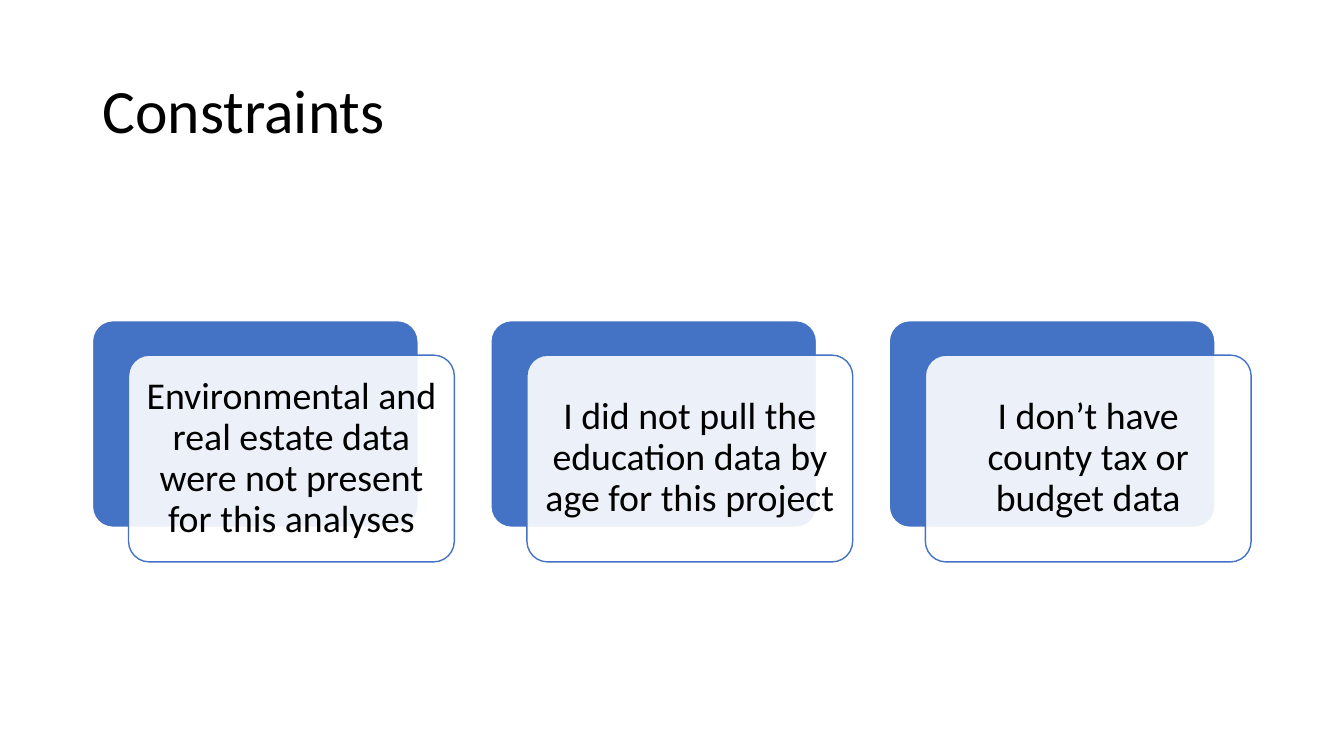
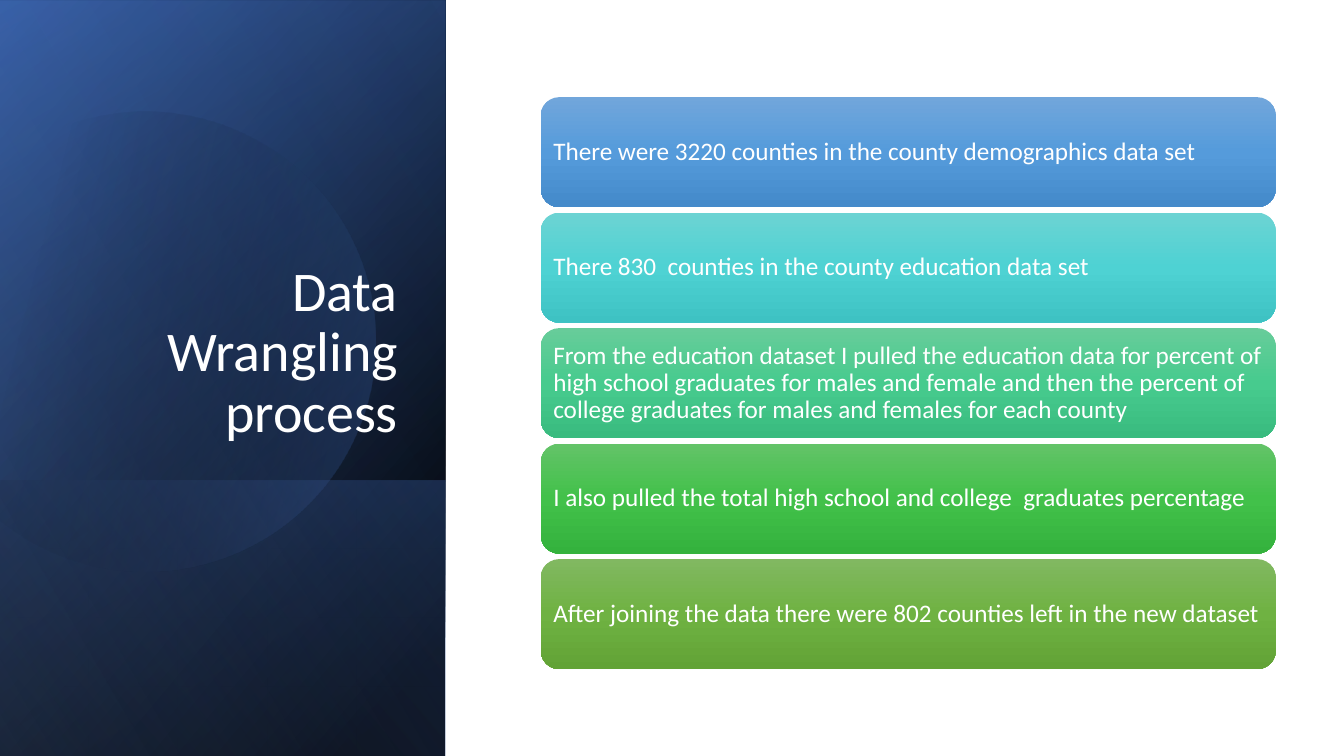
import math
from dataclasses import dataclass
from itertools import pairwise

from lxml import etree
from pptx import Presentation
from pptx import util as u
from pptx.dml.color import RGBColor
from pptx.enum import shapes, text
from pptx.oxml import ns

FONT = "Calibri"
BLACK = RGBColor(0x00, 0x00, 0x00)
WHITE = RGBColor(0xFF, 0xFF, 0xFF)
BLUE = RGBColor(0x44, 0x72, 0xC4)
DARK_BLUE = RGBColor(0x2F, 0x55, 0x97)
PALE_BLUE = RGBColor(0x8F, 0xAA, 0xDC)

SLIDE_WIDTH, SLIDE_HEIGHT = 33.87, 19.05  # all plain lengths are centimetres
PANEL_WIDTH = 11.22


@dataclass(frozen=True)
class Box:
    left: float
    top: float
    width: float
    height: float

    def lengths(self) -> tuple[u.Length, ...]:
        return tuple(u.Cm(n) for n in (self.left, self.top, self.width, self.height))


@dataclass(frozen=True)
class Stop:
    position: int
    color: RGBColor
    opacity: int = 100


@dataclass(frozen=True)
class Gradient:
    angle: int
    stops: tuple[Stop, ...]


@dataclass(frozen=True)
class TextStyle:
    size: int
    color: RGBColor
    align: text.PP_ALIGN = text.PP_ALIGN.LEFT
    anchor: text.MSO_ANCHOR = text.MSO_ANCHOR.MIDDLE


@dataclass(frozen=True)
class Band:
    top: float
    height: float
    gradient: Gradient


@dataclass(frozen=True)
class Step:
    wording: str
    colors: tuple[str, str, str]


CONSTRAINTS = (
    "Environmental and real estate data were not present for this analyses",
    "I did not pull the education data by age for this project",
    "I don’t have county tax or budget data",
)
CARD = Box(2.33, 8.08, 8.21, 5.21)
CARD_PITCH = 10.04
CARD_SHIFT_X, CARD_SHIFT_Y = 0.91, 0.87
CARD_STYLE = TextStyle(27, BLACK, text.PP_ALIGN.CENTER)

STEPS = (
    Step("There were 3220 counties in the county demographics data set",
         ("71A6DB", "559BDB", "448ACA")),
    Step("There 830  counties in the county education data set",
         ("6CD3D3", "4ED2D3", "3EC2C3")),
    Step("From the education dataset I pulled the education data for percent of "
         "high school graduates for males and female and then the percent of "
         "college graduates for males and females for each county",
         ("67CC9A", "47CB8E", "39BB7F")),
    Step("I also pulled the total high school and college  graduates percentage",
         ("63C368", "42C14A", "34B23D")),
    Step("After joining the data there were 802 counties left in the new dataset",
         ("81B861", "6FB242", "62A336")),
)
STEP_BOX = Box(13.63, 2.45, 18.52, 2.77)
STEP_PITCH = 2.91
STEP_STYLE = TextStyle(18, WHITE)

BANDS_BELOW_DISC = (
    Band(0, SLIDE_HEIGHT, Gradient(50, (Stop(8, BLACK), Stop(100, DARK_BLUE)))),
    Band(0.02, SLIDE_HEIGHT, Gradient(30, (Stop(0, BLACK, 0), Stop(99, BLUE, 46)))),
    Band(12.1, 6.95, Gradient(130, (Stop(2, BLUE, 29), Stop(100, BLACK, 30)))),
)
BAND_ABOVE_DISC = Band(
    0, SLIDE_HEIGHT, Gradient(120, (Stop(0, BLACK, 0), Stop(99, PALE_BLUE, 11))))

DISC_CENTER_X, DISC_CENTER_Y, DISC_RADIUS = 3.64, 8.5, 5.8
DISC_ANGLES = (-118, -90, 0, 90, 150)
DISC_ROTATION = 343.9
DISC_GRADIENT = Gradient(30, (Stop(29, BLACK, 0), Stop(100, BLUE, 43)))


def set_opacity(color_element, percent: int) -> None:
    alpha = etree.SubElement(color_element, ns.qn("a:alpha"))
    alpha.set("val", str(percent * 1000))


def fill_gradient(shape, gradient: Gradient) -> None:
    """Give the shape a linear gradient whose stops may be transparent."""
    shape.fill.background()
    properties = shape.element.spPr
    fill = etree.Element(ns.qn("a:gradFill"), rotWithShape="1")
    stop_list = etree.SubElement(fill, ns.qn("a:gsLst"))
    for stop in gradient.stops:
        entry = etree.SubElement(stop_list, ns.qn("a:gs"), pos=str(stop.position * 1000))
        color = etree.SubElement(entry, ns.qn("a:srgbClr"), val=str(stop.color))
        if stop.opacity < 100:
            set_opacity(color, stop.opacity)
    etree.SubElement(fill, ns.qn("a:lin"), ang=str(gradient.angle * 60000), scaled="0")
    properties.replace(properties.find(ns.qn("a:noFill")), fill)


def write_text(shape, wording: str, style: TextStyle) -> None:
    frame = shape.text_frame
    frame.word_wrap = True
    frame.auto_size = text.MSO_AUTO_SIZE.NONE
    frame.vertical_anchor = style.anchor
    paragraph = frame.paragraphs[0]
    paragraph.alignment = style.align
    paragraph.line_spacing = 0.9
    run = paragraph.add_run()
    run.text = wording
    run.font.name = FONT
    run.font.size = u.Pt(style.size)
    run.font.color.rgb = style.color


def set_margins(shape, margin: float) -> None:
    frame = shape.text_frame
    frame.margin_left = frame.margin_right = u.Cm(margin)
    frame.margin_top = frame.margin_bottom = u.Cm(margin)


def add_plain_shape(slide, kind: shapes.MSO_SHAPE, box: Box):
    """Add a preset shape without shadow or outline."""
    shape = slide.shapes.add_shape(kind, *box.lengths())
    shape.shadow.inherit = False
    shape.line.fill.background()
    return shape


def set_title(slide, wording: str, box: Box, style: TextStyle) -> None:
    """Place the title placeholder above everything drawn so far."""
    title = slide.shapes.title
    title.left, title.top, title.width, title.height = box.lengths()
    write_text(title, wording, style)
    title.element.getparent().append(title.element)


def add_card_layer(slide, box: Box, fill: RGBColor, line: RGBColor):
    shape = add_plain_shape(slide, shapes.MSO_SHAPE.ROUNDED_RECTANGLE, box)
    shape.adjustments[0] = 0.1
    shape.fill.solid()
    shape.fill.fore_color.rgb = fill
    shape.line.color.rgb = line
    shape.line.width = u.Pt(1)
    return shape


def add_card(slide, index: int, wording: str) -> None:
    """Draw a blue plate with a translucent text plate shifted over it."""
    left = CARD.left + index * CARD_PITCH
    back = Box(left, CARD.top, CARD.width, CARD.height)
    front = Box(left + CARD_SHIFT_X, CARD.top + CARD_SHIFT_Y, CARD.width, CARD.height)
    add_card_layer(slide, back, BLUE, WHITE)
    plate = add_card_layer(slide, front, WHITE, BLUE)
    set_opacity(plate.element.spPr.find(ns.qn("a:solidFill"))[0], 90)
    set_margins(plate, 0.27)
    write_text(plate, wording, CARD_STYLE)


def add_band(slide, band: Band) -> None:
    """Draw a panel-wide band as a mirrored rectangle turned by 90 degrees."""
    box = Box((PANEL_WIDTH - band.height) / 2,
              band.top + (band.height - PANEL_WIDTH) / 2,
              band.height, PANEL_WIDTH)
    shape = add_plain_shape(slide, shapes.MSO_SHAPE.RECTANGLE, box)
    shape.rotation = 90
    shape.element.spPr.find(ns.qn("a:xfrm")).set("flipH", "1")
    fill_gradient(shape, band.gradient)


def disc_point(degrees: float, tangent: float = 0) -> tuple[u.Length, u.Length]:
    """Return a point on the rim, moved along its tangent by a share of the radius."""
    cosine, sine = math.cos(math.radians(degrees)), math.sin(math.radians(degrees))
    return (u.Cm(DISC_CENTER_X + DISC_RADIUS * (cosine - tangent * sine)),
            u.Cm(DISC_CENTER_Y + DISC_RADIUS * (sine + tangent * cosine)))


def curve_segments(freeform) -> None:
    """Turn each three straight segments into one Bézier curve."""
    lines = list(freeform.element.iter(ns.qn("a:lnTo")))
    for first in range(0, len(lines), 3):
        curve = etree.Element(ns.qn("a:cubicBezTo"))
        lines[first].addprevious(curve)
        for line in lines[first:first + 3]:
            curve.append(line[0])
            line.getparent().remove(line)


def add_disc(slide) -> None:
    """Draw the disc whose left edge is cut off by a chord."""
    points = []
    for start, end in pairwise(DISC_ANGLES):
        handle = 4 / 3 * math.tan(math.radians(end - start) / 4)
        points += [disc_point(start, handle), disc_point(end, -handle), disc_point(end)]
    builder = slide.shapes.build_freeform(*disc_point(DISC_ANGLES[0]))
    builder.add_line_segments(points, close=True)
    disc = builder.convert_to_shape()
    curve_segments(disc)
    disc.shadow.inherit = False
    disc.line.fill.background()
    disc.rotation = DISC_ROTATION
    fill_gradient(disc, DISC_GRADIENT)


def add_step(slide, index: int, step: Step) -> None:
    box = Box(STEP_BOX.left, STEP_BOX.top + index * STEP_PITCH,
              STEP_BOX.width, STEP_BOX.height)
    shape = add_plain_shape(slide, shapes.MSO_SHAPE.ROUNDED_RECTANGLE, box)
    stops = tuple(Stop(position, RGBColor.from_string(color))
                  for position, color in zip((0, 50, 100), step.colors))
    fill_gradient(shape, Gradient(90, stops))
    set_margins(shape, 0.18)
    write_text(shape, step.wording, STEP_STYLE)


def build_constraints(slide) -> None:
    set_title(slide, "Constraints", Box(2.33, 1.01, 29.21, 3.68), TextStyle(44, BLACK))
    for index, wording in enumerate(CONSTRAINTS):
        add_card(slide, index, wording)


def build_process(slide) -> None:
    for band in BANDS_BELOW_DISC:
        add_band(slide, band)
    add_disc(slide)
    add_band(slide, BAND_ABOVE_DISC)
    set_title(slide, "Data Wrangling process", Box(1.62, 4.68, 8.66, 6.65),
              TextStyle(40, WHITE, text.PP_ALIGN.RIGHT, text.MSO_ANCHOR.BOTTOM))
    for index, step in enumerate(STEPS):
        add_step(slide, index, step)


def main() -> None:
    presentation = Presentation()
    presentation.slide_width = u.Cm(SLIDE_WIDTH)
    presentation.slide_height = u.Cm(SLIDE_HEIGHT)
    title_only = presentation.slide_layouts.get_by_name("Title Only")
    for build in (build_constraints, build_process):
        build(presentation.slides.add_slide(title_only))
    presentation.save("out.pptx")


if __name__ == "__main__":
    main()
